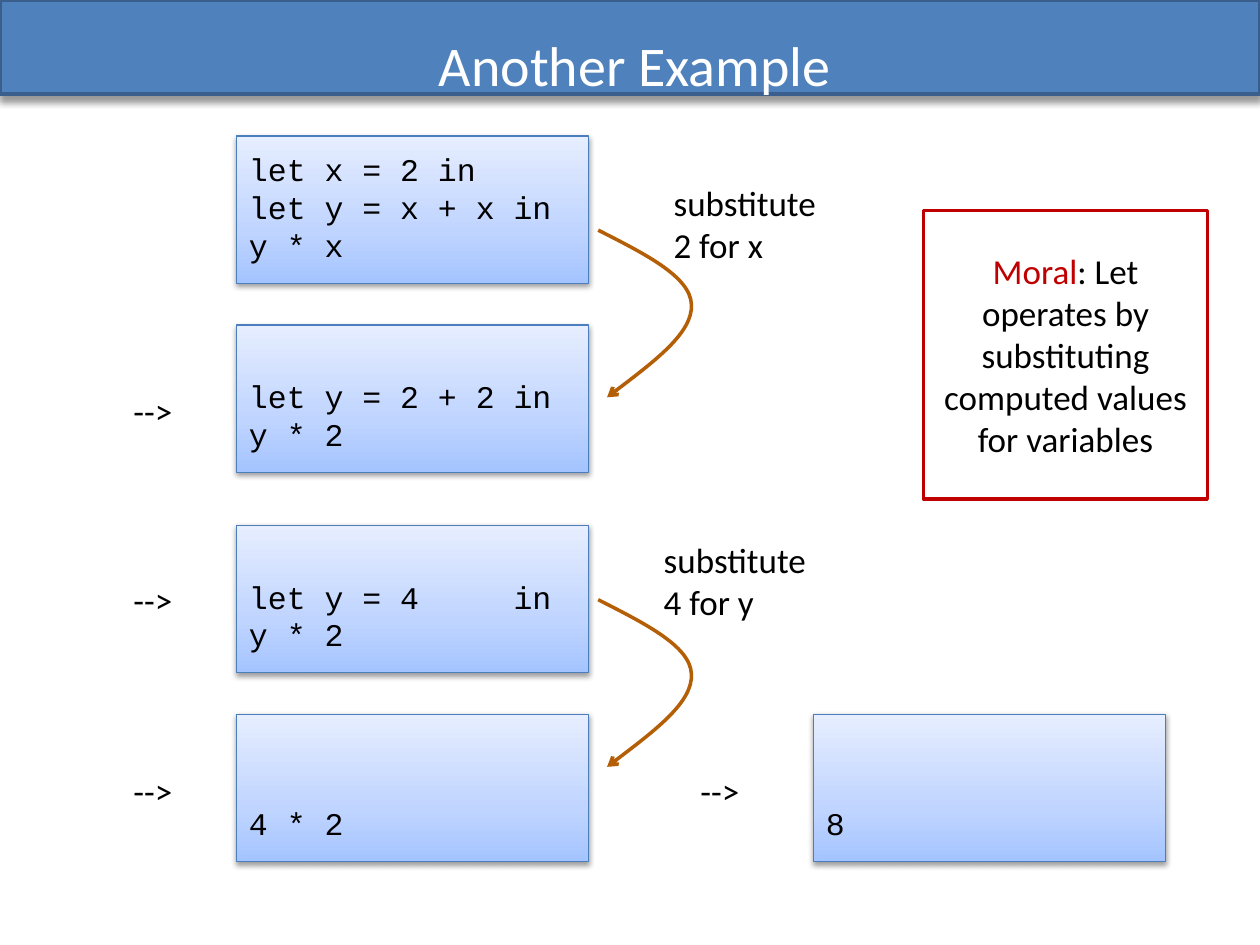
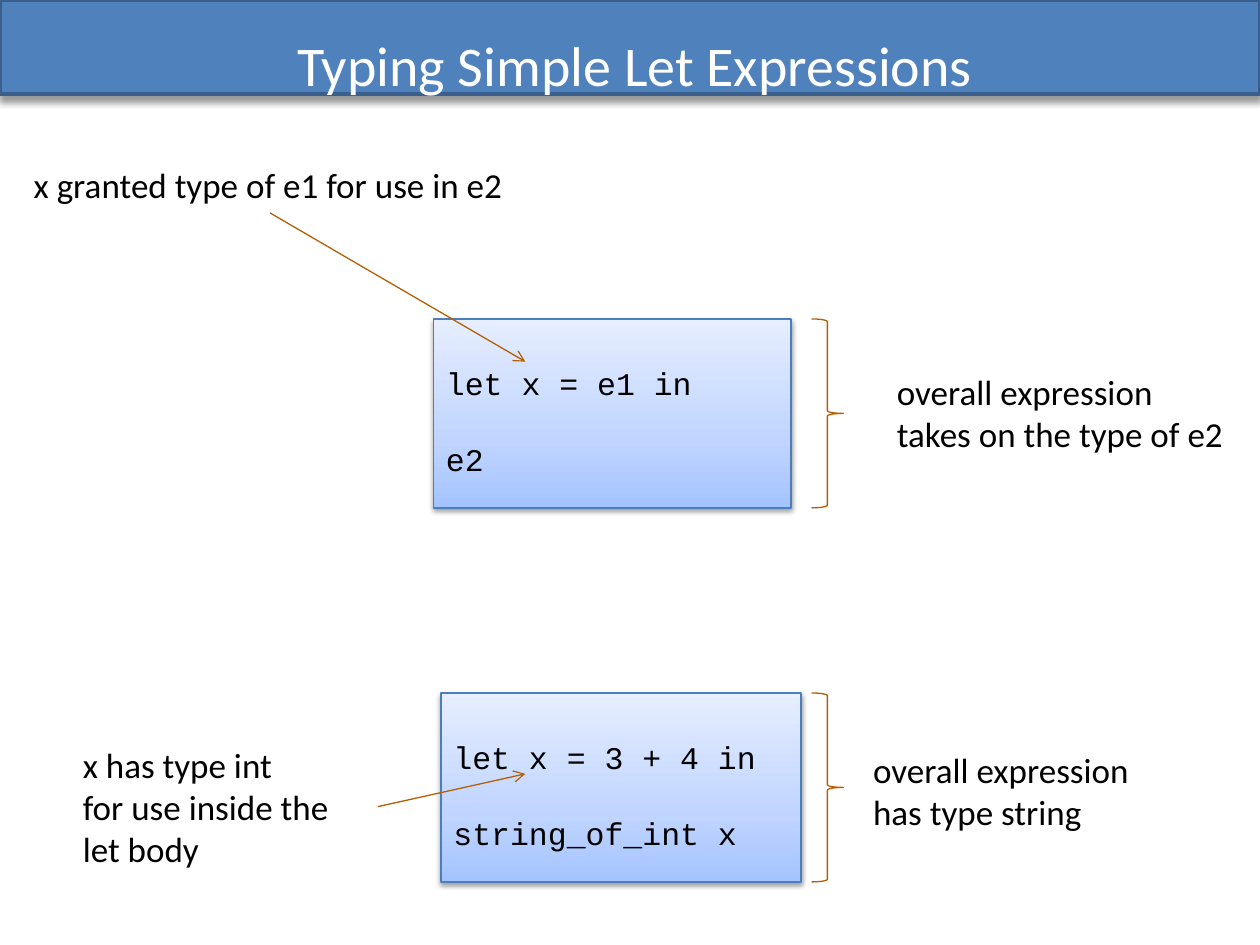
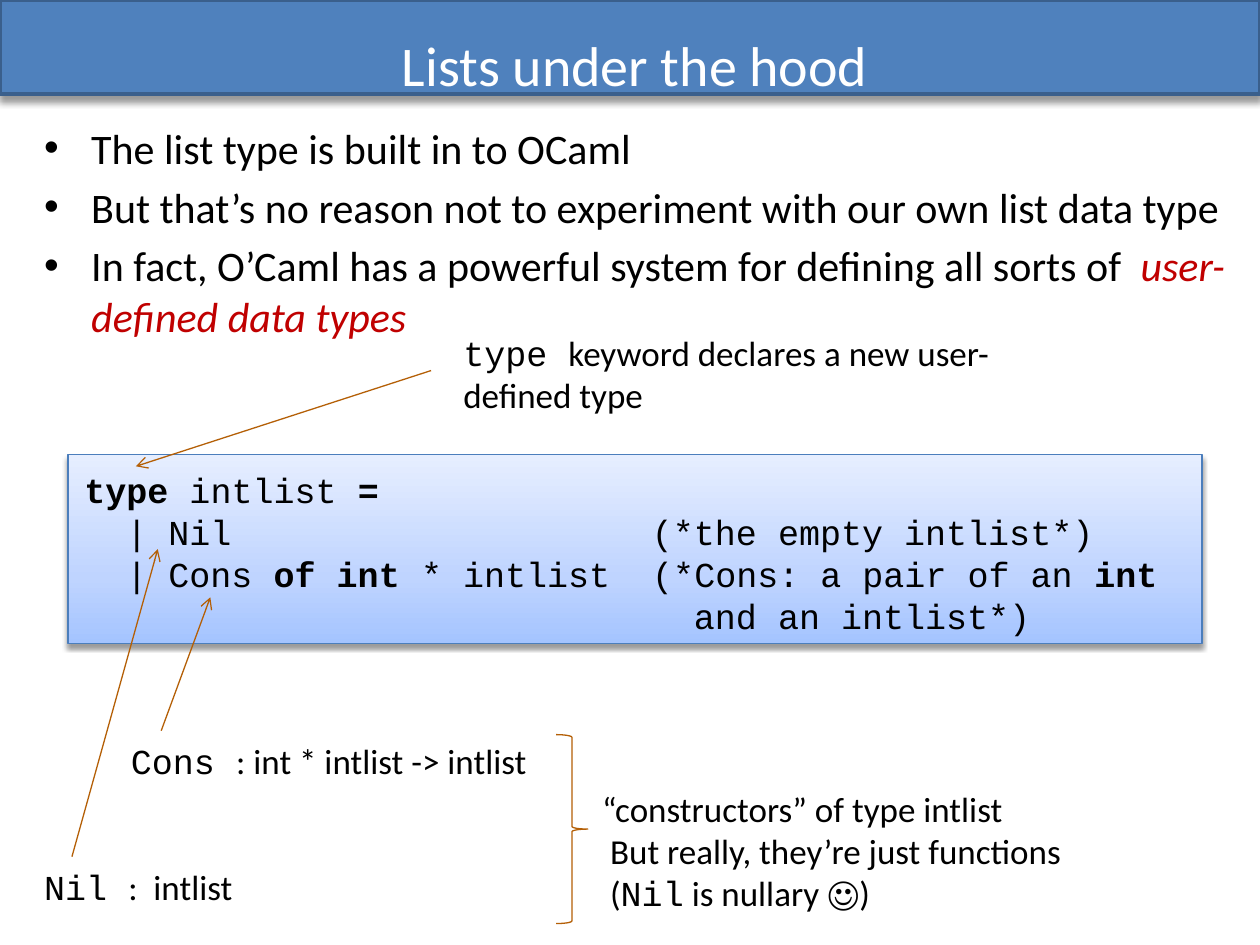
from dataclasses import dataclass

from lxml import etree
from pptx import Presentation
from pptx import util as u
from pptx.dml.color import RGBColor
from pptx.enum import shapes, text
from pptx.oxml.ns import qn


@dataclass(frozen=True)
class Theme:
    sans: str = "Calibri"
    mono: str = "Courier New"
    ink: str = "000000"
    white: str = "FFFFFF"
    band: str = "4F81BD"
    edge: str = "3A5F8C"
    rim: str = "4B7EBC"
    red: str = "C00000"
    arrow: str = "B45F06"
    grad: tuple = ((0, "A4C4FF"), (35, "BFD4FF"), (100, "E6EEFF"))
    title: int = 32
    body: int = 24
    note: int = 20
    code: int = 18


T = Theme()
WIDTH, HEIGHT = 25.4, 19.05
PANEL_W = 7.09
STEP_H = 2.97
STEP_GAP = 3.81


# --- Shared helpers ---

def cms(*sizes):
    return [u.Cm(s) for s in sizes]


def rgb(code):
    return RGBColor.from_string(code)


def sub(node, tag, **attrs):
    return etree.SubElement(node, qn(tag), {k: str(v) for k, v in attrs.items()})


def style(run, marks):
    """Marks: m mono, b bold, i italic, r red."""
    font = run.font
    if "m" in marks:
        font.name = T.mono
    if "b" in marks:
        font.bold = True
    if "i" in marks:
        font.italic = True
    if "r" in marks:
        font.color.rgb = rgb(T.red)


def write(frame, paras, size, name=T.sans, color=T.ink, align=None,
          gap=0, bullet=False, hang=0):
    """Each paragraph is a string or a list of (text, marks) runs."""
    for i, runs in enumerate(paras):
        para = frame.paragraphs[0] if i == 0 else frame.add_paragraph()
        para.alignment = align or text.PP_ALIGN.LEFT
        if i and gap:
            para.space_before = u.Pt(gap)
        props = para._p.get_or_add_pPr()
        if bullet:
            props.set("marL", str(u.Cm(0.95)))
            props.set("indent", str(u.Cm(-0.95)))
            sub(props, "a:buFont", typeface="Arial")
            sub(props, "a:buChar", char="•")
        elif i and hang:
            props.set("marL", str(u.Cm(hang)))
        font = para.font
        font.name, font.size = name, u.Pt(size)
        font.color.rgb = rgb(color)
        for words, marks in [(runs, "")] if isinstance(runs, str) else runs:
            run = para.add_run()
            run.text = words
            style(run, marks)


def note(sld, x, y, w, h, paras, wrap=False, size=T.note, **opts):
    box = sld.shapes.add_textbox(*cms(x, y, w, h))
    box.text_frame.word_wrap = wrap
    if not wrap:
        box.text_frame.auto_size = text.MSO_AUTO_SIZE.SHAPE_TO_FIT_TEXT
    write(box.text_frame, paras, size, **opts)
    return box


def shade(shape, alpha, blur, dist):
    glow = shape._element.spPr.find(qn("a:effectLst"))
    drop = sub(glow, "a:outerShdw", blurRad=u.Pt(blur), dist=u.Pt(dist),
               dir=5400000, rotWithShape=0)
    tint = sub(drop, "a:srgbClr", val=T.ink)
    sub(tint, "a:alpha", val=alpha * 1000)


def block(sld, kind, x, y, w, h, fill, line, width):
    shape = sld.shapes.add_shape(kind, *cms(x, y, w, h))
    shape.shadow.inherit = False
    if fill:
        shape.fill.solid()
        shape.fill.fore_color.rgb = rgb(fill)
    else:
        shape.fill.background()
    shape.line.color.rgb = rgb(line)
    shape.line.width = u.Pt(width)
    return shape


def rect(sld, *args):
    return block(sld, shapes.MSO_SHAPE.RECTANGLE, *args)


def panel(sld, x, y, w, h):
    """Blue gradient box that holds code."""
    shape = rect(sld, x, y, w, h, None, T.rim, 0.75)
    shape.fill.gradient()
    grad = shape._element.spPr.find(qn("a:gradFill"))
    stops = grad.find(qn("a:gsLst"))
    for stop in list(stops):
        stops.remove(stop)
    for pos, color in T.grad:
        sub(sub(stops, "a:gs", pos=pos * 1000), "a:srgbClr", val=color)
    grad.find(qn("a:lin")).set("ang", "16200000")
    shade(shape, 38, 3.1, 1.6)
    return shape


def tip(shape, width):
    """Colour a line and give it an open arrowhead."""
    shape.line.color.rgb = rgb(T.arrow)
    shape.line.width = u.Pt(width)
    sub(shape.line._get_or_add_ln(), "a:tailEnd", type="arrow")


def arrow(sld, *ends):
    line = sld.shapes.add_connector(shapes.MSO_CONNECTOR.STRAIGHT, *cms(*ends))
    tip(line, 0.75)
    sub(line._element.spPr, "a:effectLst")


def brace(sld, x, y):
    block(sld, shapes.MSO_SHAPE.RIGHT_BRACE, x, y, 0.64, 3.81,
          None, T.arrow, 0.75)


def curve(sld, x, y):
    """Bowed arrow made of two Bezier arcs."""
    knots = ((0.92, 0.47), (1.86, 0.93), (1.88, 1.5),
             (1.91, 2.06), (1.05, 2.71), (0.18, 3.37))
    pen = sld.shapes.build_freeform(*cms(x, y))
    pen.add_line_segments([cms(x + dx, y + dy) for dx, dy in knots], close=False)
    shape = pen.convert_to_shape()
    shape.shadow.inherit = False
    shape.fill.background()
    tip(shape, 2)
    route = next(shape._element.iter(qn("a:path")))
    legs = route.findall(qn("a:lnTo"))
    for i in (0, 3):
        arc = sub(route, "a:cubicBezTo")
        for leg in legs[i:i + 3]:
            arc.append(leg[0])
            route.remove(leg)


def start(deck, title):
    """New slide with the title band."""
    sld = deck.slides.add_slide(deck.slide_layouts[6])
    band = rect(sld, 0, 0, WIDTH, 1.9, T.band, T.edge, 2)
    shade(band, 40, 4, 3)
    head = note(sld, 1.37, -0.3, 22.86, 3.18, [title], wrap=True,
                size=T.title, color=T.white, align=text.PP_ALIGN.CENTER)
    head.text_frame.vertical_anchor = text.MSO_ANCHOR.MIDDLE
    return sld


# --- Slide 1: evaluation by substitution ---

def step(sld, x, y, lines):
    frame = panel(sld, x, y, PANEL_W, STEP_H).text_frame
    frame.vertical_anchor = text.MSO_ANCHOR.BOTTOM
    frame.margin_bottom = u.Cm(0.39)
    write(frame, lines, T.code, T.mono)


def mark(sld, x, y):
    note(sld, x, y, 1.3, 1.12, ["-->"])


def pair(sld, x, y, first, then, bow, label, dx, dy):
    """Two steps joined by a bowed arrow and its label."""
    step(sld, x, y, first)
    step(sld, x, y + STEP_GAP, then)
    curve(sld, x + 7.29, y + bow)
    note(sld, x + dx, y + dy, 3.43, 1.96, label)


def moral(sld, x, y, w, h):
    frame = rect(sld, x, y, w, h, T.white, T.red, 2).text_frame
    frame.word_wrap = True
    frame.vertical_anchor = text.MSO_ANCHOR.MIDDLE
    write(frame, [[("Moral", "r"), (": Let operates by substituting "
                                    "computed values for variables", "")]],
          T.note, align=text.PP_ALIGN.CENTER)


def example(deck):
    sld = start(deck, "Another Example")
    left = 4.77
    pair(sld, left, 2.74, ["let x = 2 in", "let y = x + x in", "y * x"],
         ["let y = 2 + 2 in", "y * 2"], 1.9,
         ["substitute", "2 for x"], 8.56, 0.79)
    pair(sld, left, 10.59, ["let y = 4     in", "y * 2"], ["4 * 2"], 1.5,
         ["substitute", "4 for y"], 8.36, 0.15)
    step(sld, 16.4, 14.4, ["8"])
    for x, y in ((2.44, 7.72), (2.44, 11.53), (2.44, 15.39), (13.87, 15.39)):
        mark(sld, x, y)
    moral(sld, 18.62, 4.24, 5.72, 5.82)


# --- Slide 2: typing rules ---

def typing(sld, x, y, w, code, result, dx, dy, width):
    """Code panel with a brace and the type of the whole."""
    frame = panel(sld, x, y, w, 3.81).text_frame
    frame.vertical_anchor = text.MSO_ANCHOR.TOP
    frame.margin_top = u.Cm(0.9)
    write(frame, code, T.code, T.mono, gap=22)
    brace(sld, 16.36, y)
    note(sld, x + dx, y + dy, width, 1.96, result)


def types(deck):
    sld = start(deck, "Typing Simple Let Expressions")
    typing(sld, 8.74, 6.43, 7.21, ["let x = e1 in", "e2"],
           ["overall expression", "takes on the type of e2"], 9.09, 0.91, 7.14)
    typing(sld, 8.89, 13.97, 7.26, ["let x = 3 + 4 in", "string_of_int x"],
           ["overall expression", "has type string"], 8.46, 0.99, 5.72)
    note(sld, 0.43, 3.18, 10.03, 1.12, ["x granted type of e1 for use in e2"])
    note(sld, 1.42, 14.86, 5.51, 2.82,
         ["x has type int", "for use inside the", "let body"])
    arrow(sld, 5.44, 4.29, 10.59, 7.29)
    arrow(sld, 7.62, 16.26, 10.59, 15.6)


# --- Slide 3: list data type ---

def listing(sld, x, y, w, h):
    panel(sld, x, y, w, h)
    note(sld, x + 0.08, y + 0.15, w - 0.08, h - 0.13, [
        [("type ", "b"), ("intlist ", ""), ("=", "b")],
        "  | Nil                    (*the empty intlist*)",
        [("  | Cons ", ""), ("of int ", "b"),
         ("* intlist  (*Cons: a pair of an ", ""), ("int", "b")],
        "                             and an intlist*)",
    ], wrap=True, name=T.mono)


def makers(sld, x, y):
    """Constructor types, with a brace and a remark."""
    note(sld, x + 1.75, y, 8.61, 1.12,
         [[("Cons ", "m"), (": int * intlist -> intlist", "")]], wrap=True)
    note(sld, x, y + 2.54, 4.45, 1.12,
         [[("Nil ", "m"), (":  intlist", "")]], wrap=True)
    brace(sld, x + 10.57, y + 0.03)
    note(sld, x + 11.25, y + 0.97, 9.86, 2.82, [
        "“constructors” of type intlist",
        "But really, they’re just functions",
        [("(", ""), ("Nil", "m"), (" is nullary ☺)", "")],
    ], hang=0.16)


def lists(deck):
    sld = start(deck, "Lists under the hood")
    note(sld, 0.64, 2.34, 24.33, 15.24, [
        "The list type is built in to OCaml",
        "But that’s no reason not to experiment with our own list data type",
        [("In fact, O’Caml has a powerful system for defining all sorts of  ", ""),
         ("user-defined data types", "ir")],
    ], wrap=True, size=T.body, gap=4.8, bullet=True)
    listing(sld, 1.37, 9.17, 22.86, 3.81)
    note(sld, 9.09, 6.55, 12.5, 1.96,
         [[("type ", "m"), ("keyword declares a new user-defined type", "")]],
         wrap=True)
    makers(sld, 0.64, 14.78)
    for ends in ((8.69, 7.47, 2.74, 9.4), (1.45, 17.27, 3.18, 11.07),
                 (3.25, 14.73, 4.24, 12.04)):
        arrow(sld, *ends)


def main():
    deck = Presentation()
    deck.slide_width, deck.slide_height = cms(WIDTH, HEIGHT)
    for build in (example, types, lists):
        build(deck)
    deck.save("out.pptx")


if __name__ == "__main__":
    main()
